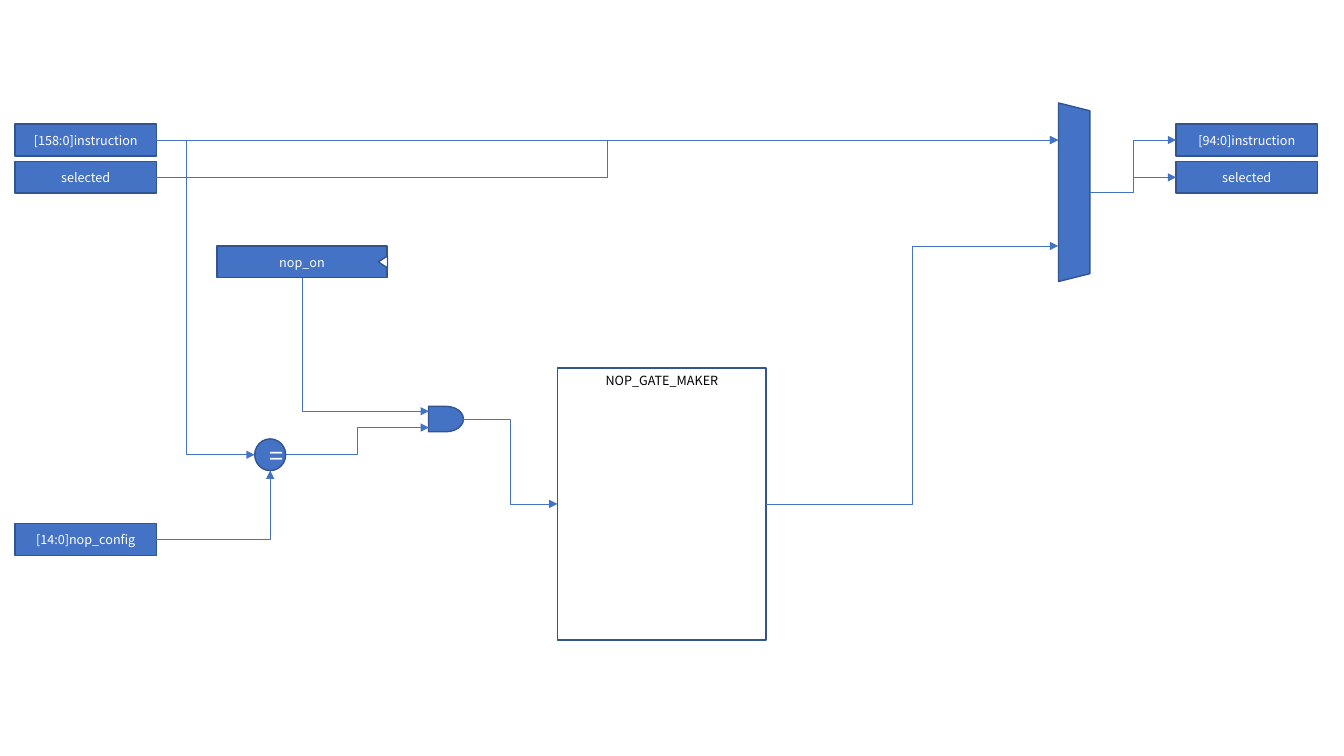
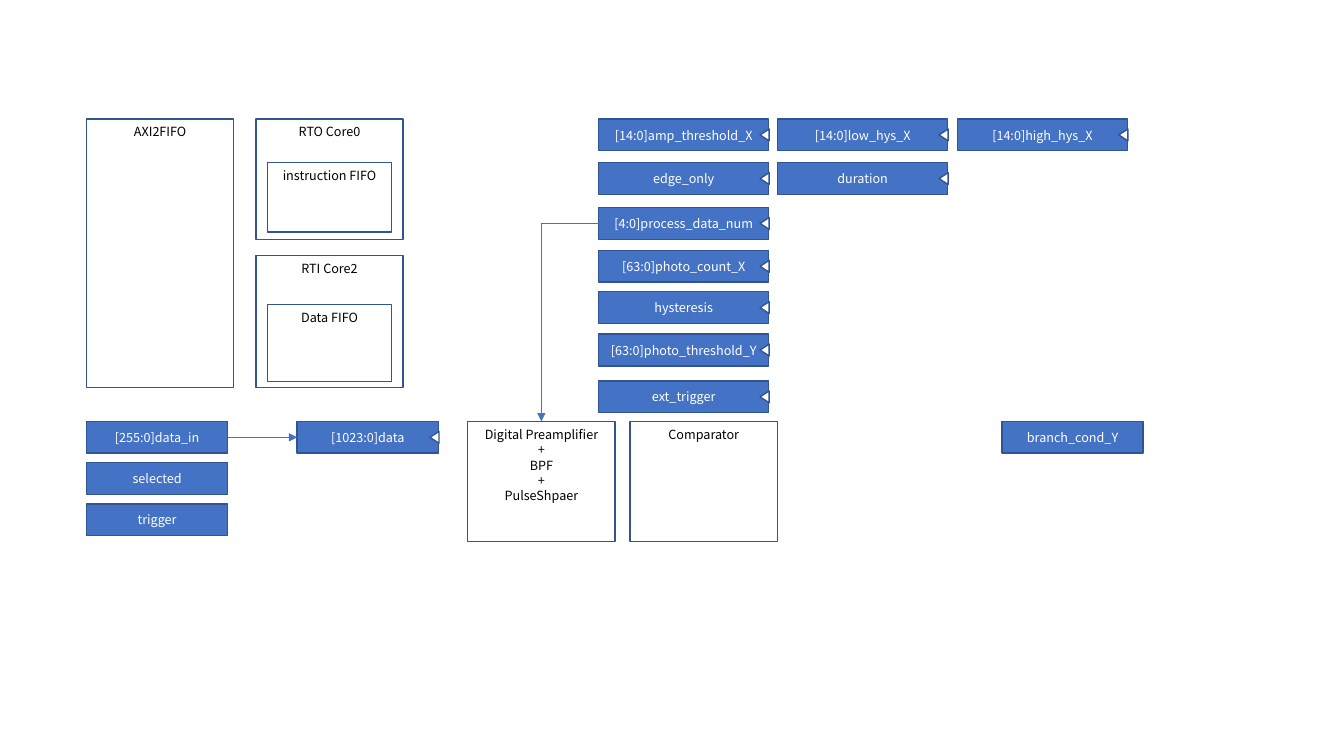
import lxml.etree
import pptx
import pptx.dml.color
import pptx.enum.shapes
import pptx.enum.text
import pptx.oxml.ns
import pptx.util

Cm, Pt = pptx.util.Cm, pptx.util.Pt
qn = pptx.oxml.ns.qn
PRESET = pptx.enum.shapes.MSO_SHAPE
CONNECTOR = pptx.enum.shapes.MSO_CONNECTOR

COLORS = {"fill": "4472C4", "outline": "325491", "white": "FFFFFF", "black": "000000"}
FONT = "Noto Sans CJK KR"
TEXT_SIZE = 9
LEADING = 11 / 9
BOX_HEIGHT = 0.8
PORT_WIDTH = 3.56
REGISTER_WIDTH = 4.28
NOTCH = (0.3, 0.23)
PANEL_WIDTH = 3.71

# Fractions of the frame, then the connection site on a four-sided shape
SIDES = {"top": (0.5, 0, 0), "left": (0, 0.5, 1), "bottom": (0.5, 1, 2), "right": (1, 0.5, 3)}

# Ports and registers: key, text, left, top; lengths in cm
NOP_PORTS = [
    ("instruction in", "[158:0]instruction", 0.38, 3.13),
    ("selected in", "selected", 0.38, 4.07),
    ("config", "[14:0]nop_config", 0.38, 13.2),
    ("instruction out", "[94:0]instruction", 29.64, 3.13),
    ("selected out", "selected", 29.64, 4.07),
]
NOP_REGISTER = ("nop_on", 5.47, 6.2, REGISTER_WIDTH)
NOP_PANEL = ("NOP_GATE_MAKER", 14.05, 9.27, 5.26, 6.86)

# Start, side, end, side, share of the width before the bend (None: one bend),
# end that carries the arrowhead
NOP_WIRES = [
    ("maker", "right", "mux low", "left", 0.5, "tailEnd"),
    ("mux", "right", "instruction out", "left", 0.5, "tailEnd"),
    ("selected in", "right", "mux high", "left", 0.5, "tailEnd"),
    ("mux", "right", "selected out", "left", 0.5, "tailEnd"),
    ("gate high", "left", "nop_on", "bottom", None, "headEnd"),
    ("config", "right", "equal", "bottom", None, "tailEnd"),
    ("instruction in", "right", "equal", "left", 0.305, "tailEnd"),
    ("equal", "right", "gate low", "left", 0.5, "tailEnd"),
    ("gate", "right", "maker", "left", 0.5, "tailEnd"),
]

# Text, left, top, width, height; one list per group
PANEL_GROUPS = [
    [("RTO Core0", 6.45, 3, PANEL_WIDTH, 3.03), ("instruction FIFO", 6.74, 4.1, 3.13, 1.75)],
    [("RTI Core2", 6.45, 6.44, PANEL_WIDTH, 3.33), ("Data FIFO", 6.74, 7.68, 3.13, 1.94)],
]
PANELS = [
    ("AXI2FIFO", 2.18, 3, PANEL_WIDTH, 6.77),
    ("Digital Preamplifier\n+\nBPF\n+\nPulseShpaer", 11.79, 10.62, PANEL_WIDTH, 3.03),
    ("Comparator", 15.88, 10.62, PANEL_WIDTH, 3.03),
]
TRIGGER_PORTS = [
    ("[255:0]data_in", 2.18, 10.62),
    ("selected", 2.18, 11.66),
    ("trigger", 2.18, 12.7),
    ("branch_cond_Y", 25.25, 10.62),
]
REGISTER_LEFTS = [15.09, 19.6, 24.13]
REGISTER_ROWS = [
    (3, ["[14:0]amp_threshold_X", "[14:0]low_hys_X", "[14:0]high_hys_X"]),
    (4.1, ["edge_only", "duration"]),
    (5.23, ["[4:0]process_data_num"]),
    (6.31, ["[63:0]photo_count_X"]),
    (7.35, ["hysteresis"]),
    (8.42, ["[63:0]photo_threshold_Y"]),
    (9.6, ["ext_trigger"]),
]


def rgb(name):
    return pptx.dml.color.RGBColor.from_string(COLORS[name])


def add_block(shapes, preset, left, top, width, height, fill="fill", text="",
              size=TEXT_SIZE, rotation=0):
    """Add an outlined shape; without a fill its text is black and at the top."""
    shape = shapes.add_shape(preset, Cm(left), Cm(top), Cm(width), Cm(height))
    shape.shadow.inherit = False
    shape.rotation = rotation
    shape.line.color.rgb = rgb("outline")
    shape.line.width = Pt(1)
    if fill:
        shape.fill.solid()
        shape.fill.fore_color.rgb = rgb(fill)
    else:
        shape.fill.background()
    if text:
        frame = shape.text_frame
        anchors = pptx.enum.text.MSO_ANCHOR
        frame.vertical_anchor = anchors.MIDDLE if fill else anchors.TOP
        frame.text = text
        for paragraph in frame.paragraphs:
            paragraph.alignment = pptx.enum.text.PP_ALIGN.CENTER
            paragraph.line_spacing = Pt(size * LEADING)
            paragraph.font.name = FONT
            paragraph.font.size = Pt(size)
            paragraph.font.color.rgb = rgb("white" if fill else "black")
    return shape


def add_port(shapes, text, left, top, width=PORT_WIDTH):
    return add_block(shapes, PRESET.RECTANGLE, left, top, width, BOX_HEIGHT, text=text)


def add_panel(shapes, text, left, top, width, height):
    return add_block(shapes, PRESET.RECTANGLE, left, top, width, height, fill=None, text=text)


def add_register(slide, text, left, top, width=REGISTER_WIDTH):
    """Add a box with a clock notch at its right edge and return the box."""
    shapes = slide.shapes.add_group_shape().shapes
    box = add_port(shapes, text, left, top, width)
    notch_width, notch_height = NOTCH
    add_block(shapes, PRESET.ISOSCELES_TRIANGLE, left + width - 0.1 - notch_width / 2,
              top + (BOX_HEIGHT - notch_height) / 2, notch_width, notch_height,
              fill="white", rotation=270)
    return box


def connection(shape, side):
    """Return x, y and the site number of a side as seen after rotation."""
    across, down, site = SIDES[side]
    turns = round(shape.rotation / 90)
    width, height = shape.width, shape.height
    if turns % 2:
        width, height = height, width
    x = shape.left + shape.width / 2 + (across - 0.5) * width
    y = shape.top + shape.height / 2 + (down - 0.5) * height
    site = (site + turns) % 4
    if shape.auto_shape_type == PRESET.OVAL:
        site *= 2
    return round(x), round(y), site


def style_wire(connector, arrow_end):
    connector.line.color.rgb = rgb("fill")
    connector.line.width = Pt(0.5)
    line = connector.line._get_or_add_ln()
    lxml.etree.SubElement(line, qn("a:" + arrow_end), type="triangle")
    lxml.etree.SubElement(connector._element.spPr, qn("a:effectLst"))


def add_straight(slide, start, end):
    """Join the right side of one rectangle to the left side of another."""
    connector = slide.shapes.add_connector(CONNECTOR.STRAIGHT, 0, 0, 0, 0)
    connector.begin_connect(start, 3)
    connector.end_connect(end, 1)
    style_wire(connector, "tailEnd")


def add_elbow(slide, start, start_side, end, end_side, bend, arrow_end):
    begin_x, begin_y, begin_site = connection(start, start_side)
    end_x, end_y, end_site = connection(end, end_side)
    connector = slide.shapes.add_connector(CONNECTOR.ELBOW, begin_x, begin_y, end_x, end_y)
    element = connector._element
    joints = element.find(".//" + qn("p:cNvCxnSpPr"))
    for tag, shape, site in [("a:stCxn", start, begin_site), ("a:endCxn", end, end_site)]:
        lxml.etree.SubElement(joints, qn(tag), id=str(shape.shape_id), idx=str(site))
    geometry = element.spPr.find(qn("a:prstGeom"))
    if bend is None:
        geometry.set("prst", "bentConnector2")
    else:
        lxml.etree.SubElement(geometry.find(qn("a:avLst")), qn("a:gd"),
                              name="adj1", fmla=f"val {round(bend * 100000)}")
    style_wire(connector, arrow_end)


def build_nop_slide(slide):
    parts = {key: add_port(slide.shapes, *port) for key, *port in NOP_PORTS}
    parts["nop_on"] = add_register(slide, *NOP_REGISTER)
    parts["maker"] = add_panel(slide.shapes, *NOP_PANEL)
    parts["equal"] = add_block(slide.shapes, PRESET.OVAL, 6.42, 11.06, 0.78, BOX_HEIGHT,
                               text="=", size=18)

    mux = slide.shapes.add_group_shape().shapes
    for key, top in [("mux high", 3.33), ("mux low", 6)]:
        parts[key] = add_block(mux, PRESET.RECTANGLE, 26.67, top, 0.38, 0.4)
    parts["mux"] = add_block(mux, PRESET.TRAPEZOID, 24.82, 4.45, 4.5, 0.79, rotation=90)

    gate = slide.shapes.add_group_shape().shapes
    for key, top in [("gate high", 10.29), ("gate low", 10.7)]:
        parts[key] = add_block(gate, PRESET.OVAL, 10.81, top, 0.15, 0.15)
    parts["gate"] = add_block(gate, PRESET.FLOWCHART_DELAY, 10.8, 10.24, 0.88, 0.64)

    add_straight(slide, parts["instruction in"], parts["mux high"])
    for start, start_side, end, end_side, bend, arrow_end in NOP_WIRES:
        add_elbow(slide, parts[start], start_side, parts[end], end_side, bend, arrow_end)


def build_trigger_slide(slide):
    for group in PANEL_GROUPS:
        shapes = slide.shapes.add_group_shape().shapes
        for panel in group:
            add_panel(shapes, *panel)
    panels = [add_panel(slide.shapes, *panel) for panel in PANELS]
    ports = [add_port(slide.shapes, *port) for port in TRIGGER_PORTS]
    registers = {}
    for top, names in REGISTER_ROWS:
        for left, name in zip(REGISTER_LEFTS, names):
            registers[name] = add_register(slide, name, left, top)
    data = add_register(slide, "[1023:0]data", 7.49, 10.62, PORT_WIDTH)
    add_straight(slide, ports[0], data)
    add_elbow(slide, registers["[4:0]process_data_num"], "left", panels[1], "top",
              None, "tailEnd")


def main():
    presentation = pptx.Presentation()
    presentation.slide_width = Cm(33.87)
    presentation.slide_height = Cm(19.05)
    for build in (build_nop_slide, build_trigger_slide):
        build(presentation.slides.add_slide(presentation.slide_layouts[6]))
    presentation.save("out.pptx")


if __name__ == "__main__":
    main()
